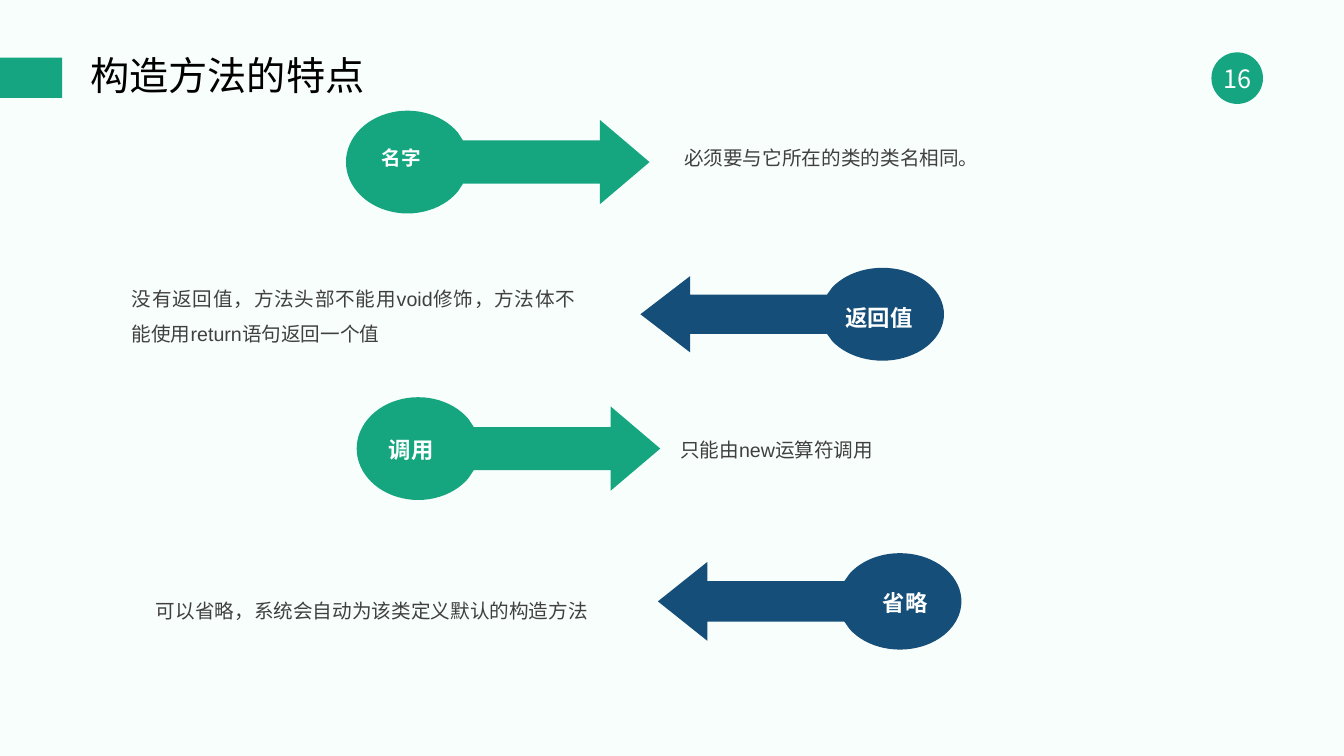
import math

import pptx
import pptx.dml.color
import pptx.enum.shapes
import pptx.enum.text
import pptx.oxml.ns
import pptx.util
from lxml import etree

Cm = pptx.util.Cm
RGBColor = pptx.dml.color.RGBColor
MSO_SHAPE = pptx.enum.shapes.MSO_SHAPE
PP_ALIGN = pptx.enum.text.PP_ALIGN
MSO_ANCHOR = pptx.enum.text.MSO_ANCHOR
qn = pptx.oxml.ns.qn

BACKGROUND = RGBColor(0xF8, 0xFE, 0xFC)
ACCENT = RGBColor(0x15, 0xA6, 0x81)
GREEN = RGBColor(0x15, 0xA6, 0x80)
BLUE = RGBColor(0x15, 0x4E, 0x79)
GRAY = RGBColor(0x40, 0x40, 0x40)
BLACK = RGBColor(0, 0, 0)
WHITE = RGBColor(0xFF, 0xFF, 0xFF)
CJK = "Noto Sans CJK SC"

ARROW_WIDTH = 7.65
DISC_RADIUS = 1.55
SHAFT_START = 2.95
HEAD_START = 6.4


def paint(sp, color):
    sp.shadow.inherit = False
    sp.fill.solid()
    sp.fill.fore_color.rgb = color
    sp.line.fill.background()


def write(sp, text, size, color, align, spacing=1.0, bold=False, latin=CJK, wrap=True,
          anchor=MSO_ANCHOR.TOP):
    """Fill a shape with one paragraph, naming its Latin and East Asian fonts."""
    tf = sp.text_frame
    tf.word_wrap = wrap
    tf.vertical_anchor = anchor
    p = tf.paragraphs[0]
    p.text = text
    p.alignment = align
    p.line_spacing = spacing
    p.font.size = pptx.util.Pt(size)
    p.font.bold = bold
    p.font.color.rgb = color
    p.font.name = latin
    etree.SubElement(p._p.pPr.find(qn("a:defRPr")), qn("a:ea"), typeface=CJK)


prs = pptx.Presentation()
prs.slide_width = Cm(33.87)
prs.slide_height = Cm(19.05)
s = prs.slides.add_slide(prs.slide_layouts[6])
s.background.fill.solid()
s.background.fill.fore_color.rgb = BACKGROUND

# Header
badge = s.shapes.add_shape(MSO_SHAPE.OVAL, Cm(30.53), Cm(1.32), Cm(1.3), Cm(1.3))
paint(badge, ACCENT)
write(badge, "16", 18, WHITE, PP_ALIGN.CENTER, wrap=False, anchor=MSO_ANCHOR.MIDDLE)
bar = s.shapes.add_shape(MSO_SHAPE.RECTANGLE, 0, Cm(1.45), Cm(1.57), Cm(1.02))
paint(bar, ACCENT)
title = s.shapes.add_textbox(Cm(2.03), Cm(1.32), Cm(18.92), Cm(1.3))
write(title, "构造方法的特点", 28, BLACK, PP_ALIGN.LEFT, spacing=0.9, anchor=MSO_ANCHOR.MIDDLE)

# Arrows: left, top, height, points right, colour, label, label size, label box,
# description, description box
features = [
    (8.72, 2.79, 2.59, True, GREEN, "名字", 14, (9.37, 3.56, 1.5, 0.86),
     "必须要与它所在的类的类名相同。", (16.99, 3.25, 12.29, 1.14)),
    (16.14, 6.75, 2.34, False, BLUE, "返回值", 16, (21.06, 7.54, 2.21, 0.94),
     "没有返回值，方法头部不能用void修饰，方法体不能使用return语句返回一个值",
     (3.07, 6.81, 11.68, 2.03)),
    (8.99, 10.01, 2.59, True, GREEN, "调用", 16, (9.55, 10.87, 1.63, 0.94),
     "只能由new运算符调用", (16.89, 10.62, 12.62, 1.14)),
    (16.58, 13.94, 2.43, False, BLUE, "省略", 16, (22, 14.73, 1.63, 0.94),
     "可以省略，系统会自动为该类定义默认的构造方法", (3.68, 14.68, 11.46, 1.14)),
]

for (left, top, height, to_right, color, label, label_size, label_box,
     description, description_box) in features:
    # Outline of a right-pointing arrow: x in cm, y as a share of the height
    outline = []
    for degrees in range(35, 326, 5):
        a = math.radians(degrees)
        outline.append((DISC_RADIUS * (1 + math.cos(a)), 0.5 + 0.5 * math.sin(a)))
    outline += [(SHAFT_START, 0.29), (HEAD_START, 0.29), (HEAD_START, 0.09),
                (ARROW_WIDTH, 0.5),
                (HEAD_START, 0.91), (HEAD_START, 0.71), (SHAFT_START, 0.71)]
    points = [(Cm(left + (x if to_right else ARROW_WIDTH - x)), Cm(top + y * height))
              for x, y in outline]
    builder = s.shapes.build_freeform(*points[0])
    builder.add_line_segments(points[1:], close=True)
    paint(builder.convert_to_shape(), color)

    sp = s.shapes.add_shape(MSO_SHAPE.RECTANGLE, *map(Cm, label_box))
    paint(sp, color)
    write(sp, label, label_size, WHITE, PP_ALIGN.JUSTIFY, bold=True, wrap=False)

    sp = s.shapes.add_textbox(*map(Cm, description_box))
    write(sp, description, 14, GRAY, PP_ALIGN.JUSTIFY, spacing=1.5, latin="Arial")

prs.save("out.pptx")
